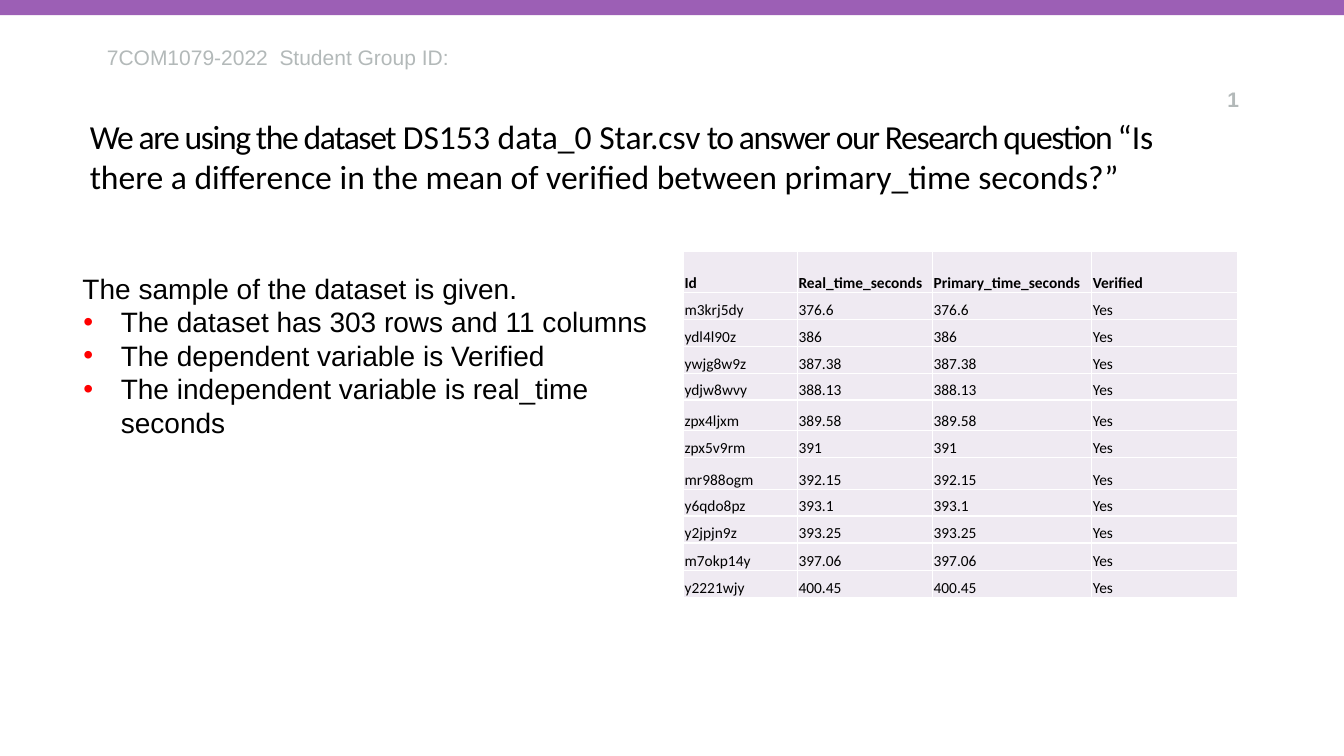
from pptx import Presentation
from pptx.dml.color import RGBColor
from pptx.enum.shapes import MSO_SHAPE
from pptx.enum.text import MSO_ANCHOR, MSO_AUTO_SIZE, PP_ALIGN
from pptx.oxml import parse_xml
from pptx.oxml.ns import nsdecls
from pptx.util import Inches, Pt

RECT = MSO_SHAPE.RECTANGLE
TOP, BOTTOM = MSO_ANCHOR.TOP, MSO_ANCHOR.BOTTOM
LEFT, RIGHT = PP_ALIGN.LEFT, PP_ALIGN.RIGHT
NO_FIT = MSO_AUTO_SIZE.NONE

PURPLE = RGBColor(0x9C, 0x5F, 0xB5)
GREY = RGBColor(0xB3, 0xB9, 0xB9)
LILAC = RGBColor(0xEF, 0xEA, 0xF2)
BLACK = RGBColor(0, 0, 0)
RED = RGBColor(0xFF, 0, 0)
WHITE = RGBColor(0xFF, 0xFF, 0xFF)

TITLE = [
    ("We are using the dataset ", -1),
    ("DS153 data_0 Star.csv", 0),
    (" to answer our Research question “", -1),
    ("Is there a difference in the mean of verified between primary_time seconds?”", 0),
]
COURSE = "7COM1079-2022  Student Group ID:"
PAGE = "1"
INTRO = "The sample of the dataset is given."
BULLETS = [
    "The dataset has 303 rows and 11 columns",
    "The dependent variable is Verified",
    "The independent variable is real_time seconds",
]
HEADER = ("Id", "Real_time_seconds", "Primary_time_seconds", "Verified")
TIMES = [
    ("m3krj5dy", "376.6"), ("ydl4l90z", "386"), ("ywjg8w9z", "387.38"),
    ("ydjw8wvy", "388.13"), ("zpx4ljxm", "389.58"), ("zpx5v9rm", "391"),
    ("mr988ogm", "392.15"), ("y6qdo8pz", "393.1"), ("y2jpjn9z", "393.25"),
    ("m7okp14y", "397.06"), ("y2221wjy", "400.45"),
]
COL_WIDTHS = (1.13, 1.34, 1.58, 1.45)
ROW_HEIGHTS = (0.41, 0.27, 0.27, 0.27, 0.26, 0.3, 0.27, 0.32, 0.26, 0.27, 0.27, 0.27)

TITLE_FONT = {"name": "Calibri", "size": Pt(24), "color": BLACK, "bold": False}
LABEL_FONT = {"name": "Arial", "size": Pt(15), "color": GREY, "bold": False}
BODY_FONT = {"name": "Arial", "size": Pt(20), "color": BLACK, "bold": False}
CELL_FONT = {"name": "Calibri", "size": Pt(11), "color": BLACK, "bold": False}


def add_run(p, text, fmt):
    """Add a formatted run to a paragraph."""
    r = p.add_run()
    r.text = text
    for key, value in fmt.items():
        if key == "color":
            r.font.color.rgb = value
        else:
            setattr(r.font, key, value)
    return r


def set_frame(tf, margins=(0, 0, 0, 0)):
    """Make a text frame wrap from the top with the given margins."""
    tf.word_wrap, tf.auto_size, tf.vertical_anchor = True, NO_FIT, TOP
    for side, value in zip(("left", "top", "right", "bottom"), margins):
        setattr(tf, f"margin_{side}", Inches(value))
    return tf


def add_text(slide, box, margins=(0, 0, 0, 0)):
    """Add a text box and return its frame."""
    return set_frame(slide.shapes.add_textbox(*map(Inches, box)).text_frame, margins)


def add_bullet(p):
    """Give a paragraph a red bullet with a hanging indent."""
    pPr = p._p.get_or_add_pPr()
    pPr.set("marL", str(Inches(0.38)))
    pPr.set("indent", str(Inches(-0.37)))
    pPr.append(parse_xml(f'<a:buClr {nsdecls("a")}><a:srgbClr val="{RED}"/></a:buClr>'))
    pPr.append(parse_xml(f'<a:buFont {nsdecls("a")} typeface="Arial"/>'))
    pPr.append(parse_xml(f'<a:buChar {nsdecls("a")} char="•"/>'))


def format_cell(cell, text, fmt):
    """Fill one table cell and draw its white borders."""
    cell.margin_left = cell.margin_right = cell.margin_top = Inches(0.01)
    cell.margin_bottom = 0
    cell.vertical_anchor = BOTTOM
    add_run(cell.text_frame.paragraphs[0], text, fmt)
    tcPr = cell._tc.get_or_add_tcPr()
    for side in ("lnL", "lnR", "lnT", "lnB"):
        tcPr.append(parse_xml(
            f'<a:{side} {nsdecls("a")} w="{Pt(0.96)}"><a:solidFill>'
            f'<a:srgbClr val="{WHITE}"/></a:solidFill></a:{side}>'))
    cell.fill.solid()
    cell.fill.fore_color.rgb = LILAC


def add_sample_table(slide):
    """Add the table of sample rows."""
    rows = [HEADER] + [(run_id, time, time, "Yes") for run_id, time in TIMES]
    box = (6.78, 2.49, sum(COL_WIDTHS), sum(ROW_HEIGHTS))
    table = slide.shapes.add_table(len(rows), len(HEADER), *map(Inches, box)).table
    table.first_row = table.horz_banding = False
    for col, width in zip(table.columns, COL_WIDTHS):
        col.width = Inches(width)
    for i, (row, height) in enumerate(zip(table.rows, ROW_HEIGHTS)):
        row.height = Inches(height)
        for cell, text in zip(row.cells, rows[i]):
            format_cell(cell, text, {**CELL_FONT, "bold": i == 0})


def main():
    """Build the dataset slide."""
    prs = Presentation()
    prs.slide_width, prs.slide_height = Inches(13.33), Inches(7.5)
    slide = prs.slides.add_slide(prs.slide_layouts[5])

    bar = slide.shapes.add_shape(RECT, 0, 0, prs.slide_width, Inches(0.15))
    bar.shadow.inherit = False
    bar.fill.solid()
    bar.fill.fore_color.rgb = PURPLE
    bar.line.fill.background()

    title = slide.shapes.title
    title.left, title.top, title.width, title.height = map(Inches, (0.89, 1.15, 11.06, 1.3))
    p = set_frame(title.text_frame).paragraphs[0]
    p.alignment, p.line_spacing, p.space_after = LEFT, Pt(28.8), Pt(9.9)
    for text, spacing in TITLE:
        r = add_run(p, text, TITLE_FONT)
        r.font._element.set("spc", str(spacing * 100))

    p = add_text(slide, (1.06, 0.44, 9.98, 0.25)).paragraphs[0]
    add_run(p, COURSE, LABEL_FONT)
    p = add_text(slide, (11.61, 0.86, 0.68, 0.25)).paragraphs[0]
    p.alignment = RIGHT
    add_run(p, PAGE, {**LABEL_FONT, "bold": True})

    add_sample_table(slide)

    tf = add_text(slide, (0.72, 2.64, 5.83, 1.78), (0.1, 0.05, 0.1, 0.05))
    add_run(tf.paragraphs[0], INTRO, BODY_FONT)
    for text in BULLETS:
        p = tf.add_paragraph()
        add_bullet(p)
        add_run(p, text, BODY_FONT)

    prs.save("out.pptx")


if __name__ == "__main__":
    main()
